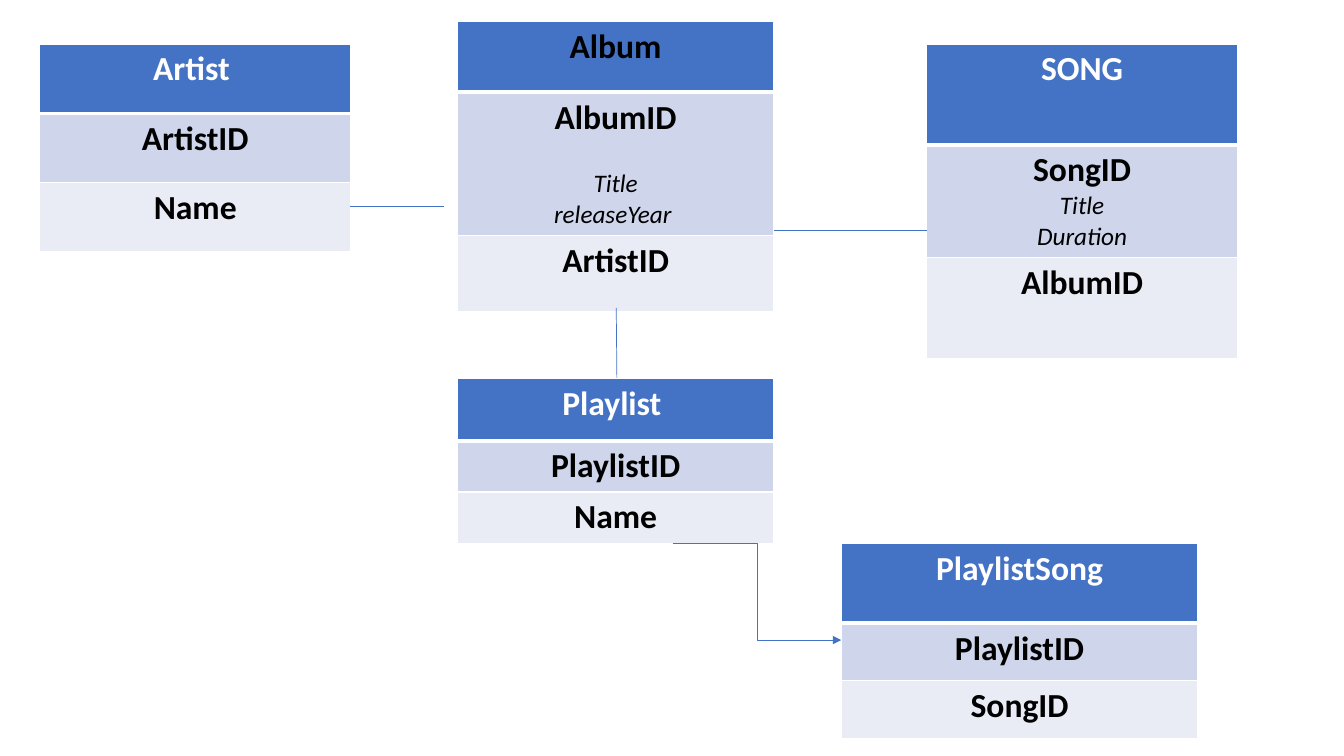
from dataclasses import dataclass

from lxml.etree import SubElement
from pptx import Presentation
from pptx.dml.color import RGBColor
from pptx.enum.shapes import MSO_CONNECTOR
from pptx.enum.text import PP_ALIGN
from pptx.oxml import parse_xml
from pptx.oxml.ns import nsdecls, qn
from pptx.util import Cm, Pt


@dataclass(frozen=True)
class Theme:
    font: str = "Calibri"
    key_size: int = 24
    field_size: int = 18
    header: str = "4472C4"
    key_row: str = "CFD5EA"
    last_row: str = "E9EBF5"
    white: str = "FFFFFF"
    black: str = "000000"
    border: int = 1
    header_rule: int = 3
    link: float = 0.5


theme = Theme()
deck = Presentation()
deck.slide_width, deck.slide_height = Cm(33.87), Cm(19.05)
page = deck.slides.add_slide(deck.slide_layouts[6])


def add_entity(left, top, width, heights, rows, title_color=theme.white):
    """Draw one entity; the first line of each row is bold, the rest are italic fields."""
    frame = page.shapes.add_table(
        len(rows), 1, Cm(left), Cm(top), Cm(width), Cm(sum(heights)))
    table = frame.table
    fills = (theme.header, theme.key_row, theme.last_row)
    for index, (lines, height, fill) in enumerate(zip(rows, heights, fills)):
        table.rows[index].height = Cm(height)
        cell = table.cell(index, 0)
        cell.fill.solid()
        cell.fill.fore_color.rgb = RGBColor.from_string(fill)

        rules = {"L": theme.border, "R": theme.border,
                 "T": theme.header_rule if index == 1 else theme.border,
                 "B": theme.header_rule if index == 0 else theme.border}
        properties = cell._tc.get_or_add_tcPr()
        for position, (side, points) in enumerate(rules.items()):
            properties.insert(position, parse_xml(
                f'<a:ln{side} {nsdecls("a")} w="{Pt(points)}"><a:solidFill>'
                f'<a:srgbClr val="{theme.white}"/></a:solidFill></a:ln{side}>'))

        for number, line in enumerate(lines):
            text = cell.text_frame
            para = text.add_paragraph() if number else text.paragraphs[0]
            para.alignment = PP_ALIGN.CENTER
            span = para.add_run()
            span.text = line
            span.font.name = theme.font
            span.font.size = Pt(theme.field_size if number else theme.key_size)
            span.font.bold = number == 0
            span.font.italic = number > 0
            color = theme.black if index else title_color
            span.font.color.rgb = RGBColor.from_string(color)
    return table


def add_link(kind, *ends):
    link = page.shapes.add_connector(kind, *(Cm(value) for value in ends))
    link.line.color.rgb = RGBColor.from_string(theme.header)
    link.line.width = Pt(theme.link)
    SubElement(link._element.spPr, qn("a:effectLst"))
    return link


add_entity(1, 1.11, 7.84, (1.75, 1.73, 1.75),
           [["Artist "], ["ArtistID"], ["Name"]])
album = add_entity(11.53, 0.54, 7.97, (1.78, 3.62, 1.9),
                   [["Album"], ["AlbumID", "Title", "releaseYear "], ["ArtistID"]],
                   theme.black)
album.cell(1, 0).text_frame.paragraphs[1].space_before = Pt(22)
add_entity(23.35, 1.11, 7.84, (2.54, 2.82, 2.54),
           [["SONG"], ["SongID", "Title", "Duration"], ["AlbumID"]])

for ends in ((8.82, 5.2, 11.18, 5.2),
             (19.51, 5.8, 23.35, 5.8),
             (15.53, 7.76, 15.55, 9.95)):
    add_link(MSO_CONNECTOR.STRAIGHT, *ends)

add_entity(11.53, 9.53, 7.97, (1.58, 1.27, 1.27),
           [["Playlist "], ["PlaylistID"], ["Name"]])
add_entity(21.2, 13.7, 8.99, (2, 1.45, 1.45),
           [["PlaylistSong"], ["PlaylistID"], ["SongID"]])
arrow = add_link(MSO_CONNECTOR.ELBOW, 16.95, 13.7, 21.2, 16.13)
SubElement(arrow.line._get_or_add_ln(), qn("a:tailEnd"), type="triangle")

deck.save("out.pptx")
